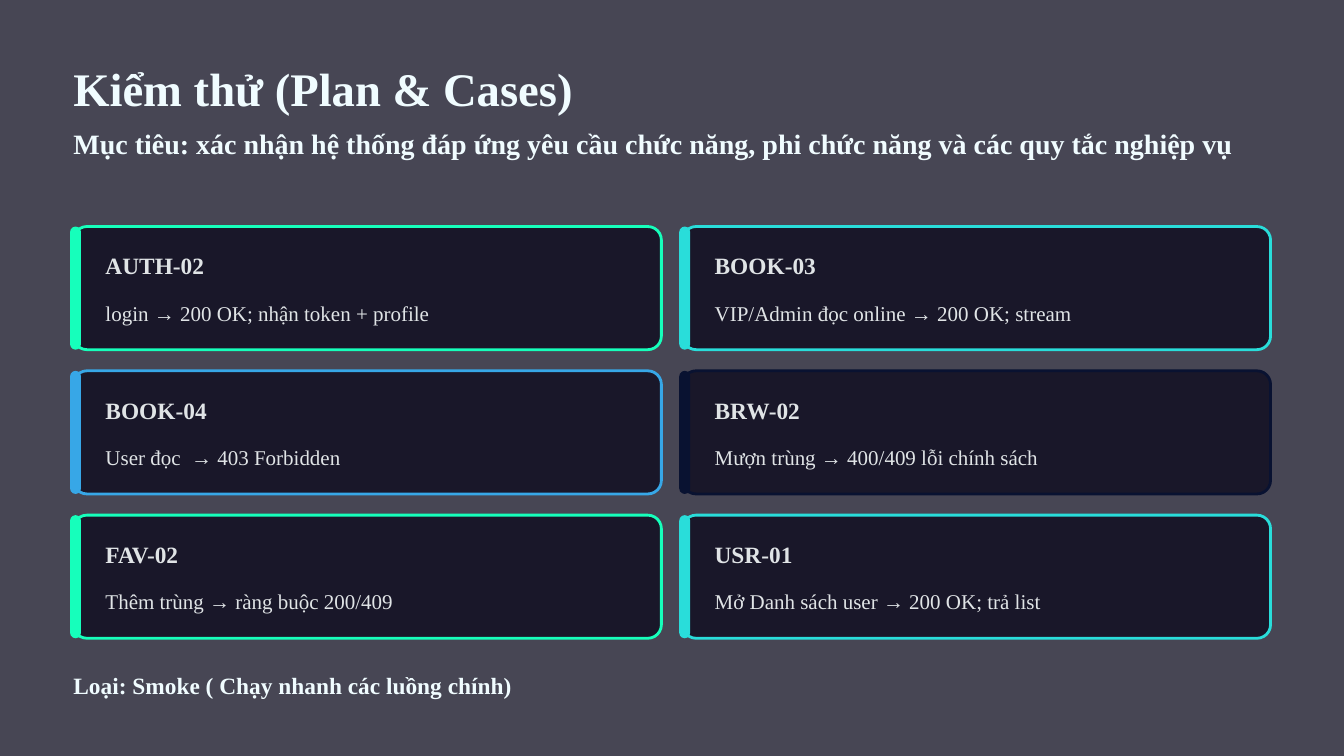
from lxml import etree
from pptx import Presentation
from pptx.dml.color import RGBColor
from pptx.enum.shapes import MSO_SHAPE
from pptx.enum.text import MSO_ANCHOR, PP_ALIGN
from pptx.oxml.ns import qn
from pptx.util import Cm, Pt

ROUNDED = MSO_SHAPE.ROUNDED_RECTANGLE
TOP = MSO_ANCHOR.TOP
LEFT = PP_ALIGN.LEFT

COLORS = {
    "page": "474654",
    "card": "0A081B",
    "heading": "F0FCFF",
    "body": "E0E4E6",
    "green": "16FFBB",
    "cyan": "29DDDA",
    "blue": "37A7E7",
    "navy": "091231",
}
FONT = "Times New Roman"

# Font size, line spacing (points), weight and colour of each kind of text
STYLES = {
    "title": {"size": 40, "spacing": 50, "bold": True, "color": "heading"},
    "goal": {"size": 24, "spacing": 30, "bold": True, "color": "heading"},
    "note": {"size": 20, "spacing": 25, "bold": True, "color": "heading"},
    "code": {"size": 20, "spacing": 25, "bold": True, "color": "body"},
    "result": {"size": 18, "spacing": 28.5, "bold": False, "color": "body"},
}

TEST_CASES = [
    ("AUTH-02", "login → 200 OK; nhận token + profile", "green"),
    ("BOOK-03", "VIP/Admin đọc online → 200 OK; stream", "cyan"),
    ("BOOK-04", "User đọc  → 403 Forbidden", "blue"),
    ("BRW-02", "Mượn trùng → 400/409 lỗi chính sách", "navy"),
    ("FAV-02", "Thêm trùng → ràng buộc 200/409", "green"),
    ("USR-01", "Mở Danh sách user → 200 OK; trả list", "cyan"),
]

MARGIN = 2.22
CONTENT_WIDTH = 36.2
COLUMNS, ROWS = 2, 3
GAP = 0.64


def rgb(name):
    return RGBColor.from_string(COLORS[name])


def add_text(page, left, top, width, height, text, style_name):
    style = STYLES[style_name]
    box = page.shapes.add_textbox(Cm(left), Cm(top), Cm(width), Cm(height))
    frame = box.text_frame
    frame_format = {
        "margin_left": 0, "margin_top": 0, "margin_right": 0,
        "margin_bottom": 0, "word_wrap": True, "vertical_anchor": TOP,
    }
    for name, value in frame_format.items():
        setattr(frame, name, value)
    para = frame.paragraphs[0]
    para.alignment = LEFT
    para.line_spacing = Pt(style["spacing"])
    span = para.add_run()
    span.text = text
    font_format = {"name": FONT, "size": Pt(style["size"]), "bold": style["bold"]}
    for name, value in font_format.items():
        setattr(span.font, name, value)
    span.font.color.rgb = rgb(style["color"])


def add_rounded(page, left, top, width, height, radius, fill):
    """Add a borderless rounded rectangle; radius is a share of the short side."""
    shape = page.shapes.add_shape(ROUNDED, Cm(left), Cm(top), Cm(width), Cm(height))
    shape.shadow.inherit = False
    shape.adjustments[0] = radius
    shape.fill.solid()
    shape.fill.fore_color.rgb = rgb(fill)
    shape.line.fill.background()
    return shape


def set_opacity(shape, percent):
    color = shape.fill._xPr.find(qn("a:solidFill"))[0]
    etree.SubElement(color, qn("a:alpha"), val=str(percent * 1000))


def add_header(page, left, top, width):
    add_text(page, left, top, width, 1.78, "Kiểm thử (Plan & Cases)", "title")
    goal = ("Mục tiêu: xác nhận hệ thống đáp ứng yêu cầu chức năng, "
            "phi chức năng và các quy tắc nghiệp vụ")
    add_text(page, left, top + 2.03, width, 2.13, goal, "goal")


def add_card(page, left, top, width, height, case):
    code, result, accent = case
    panel = add_rounded(page, left, top, width, height, 0.11, "card")
    set_opacity(panel, 75)
    panel.line.color.rgb = rgb(accent)
    panel.line.width = Pt(2.4)
    add_rounded(page, left - 0.1, top, 0.33, height, 0.5, accent)
    add_text(page, left + 0.97, top + 0.72, 7.09, 0.89, code, "code")
    add_text(page, left + 0.97, top + 1.99, width - 1.7, 1.02, result, "result")


def add_card_grid(page, left, top, width, height):
    card_width = (width - GAP * (COLUMNS - 1)) / COLUMNS
    card_height = (height - GAP * (ROWS - 1)) / ROWS
    for index, case in enumerate(TEST_CASES):
        row, column = divmod(index, COLUMNS)
        add_card(page, left + column * (card_width + GAP),
                 top + row * (card_height + GAP), card_width, card_height, case)


def main():
    deck = Presentation()
    deck.slide_width, deck.slide_height = Cm(40.64), Cm(22.86)
    page = deck.slides.add_slide(deck.slide_layouts[6])
    page.background.fill.solid()
    page.background.fill.fore_color.rgb = rgb("page")
    add_header(page, MARGIN, 1.75, CONTENT_WIDTH)
    add_card_grid(page, MARGIN, 6.85, CONTENT_WIDTH, 12.45)
    add_text(page, MARGIN, 20.27, 13.97, 0.89,
             "Loại: Smoke ( Chạy nhanh các luồng chính)", "note")
    deck.save("out.pptx")


if __name__ == "__main__":
    main()
